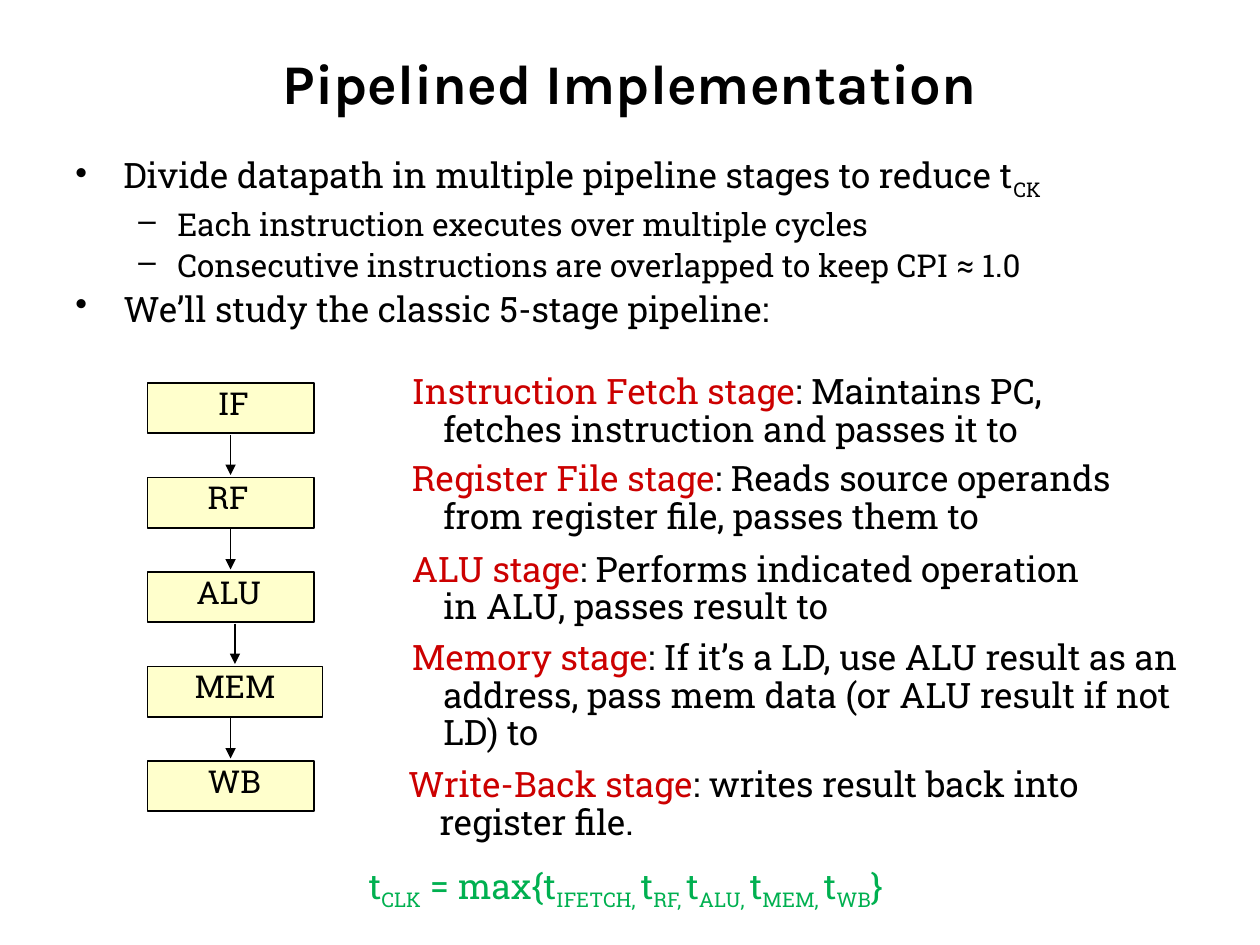
from dataclasses import dataclass

from lxml import etree
from pptx import Presentation
from pptx.dml.color import RGBColor
from pptx.enum.shapes import MSO_CONNECTOR, MSO_SHAPE
from pptx.enum.text import MSO_ANCHOR, MSO_AUTO_SIZE, PP_ALIGN
from pptx.oxml.ns import qn
from pptx.util import Inches, Pt

RECTANGLE = MSO_SHAPE.RECTANGLE
STRAIGHT = MSO_CONNECTOR.STRAIGHT
MIDDLE = MSO_ANCHOR.MIDDLE
GROW = MSO_AUTO_SIZE.SHAPE_TO_FIT_TEXT
LEFT, CENTER = PP_ALIGN.LEFT, PP_ALIGN.CENTER


@dataclass(frozen=True)
class Theme:
    heading_font: str = "Karla"
    body_font: str = "Roboto Slab"
    title_size: int = 32
    body_size: int = 20
    small_size: int = 18
    ink: str = "000000"
    accent: str = "CC0000"
    formula: str = "00B050"
    stage_fill: str = "FFFFCC"


theme = Theme()


def add_box(left, top, width, height, **frame_format):
    box = page.shapes.add_textbox(Inches(left), Inches(top), Inches(width), Inches(height))
    for name, value in {"word_wrap": True, **frame_format}.items():
        setattr(box.text_frame, name, value)
    return box.text_frame


def add_span(para, text, size=theme.body_size, color=theme.ink, subscript=False,
             font=theme.body_font, bold=False):
    span = para.add_run()
    span.text = text
    for name, value in {"name": font, "size": Pt(size), "bold": bold}.items():
        setattr(span.font, name, value)
    span.font.color.rgb = RGBColor.from_string(color)
    if subscript:
        span.font._element.set("baseline", "-25000")


deck = Presentation()
deck.slide_width, deck.slide_height = Inches(10), Inches(7.5)
page = deck.slides.add_slide(deck.slide_layouts[6])

# Title
title = add_box(0.5, 0.3, 9, 0.7, vertical_anchor=MIDDLE).paragraphs[0]
title.alignment = CENTER
add_span(title, "Pipelined Implementation", theme.title_size, font=theme.heading_font, bold=True)

# Bulleted outline: level, then text and subscript
outline = [
    (0, "Divide datapath in multiple pipeline stages to reduce t", "CK"),
    (1, "Each instruction executes over multiple cycles", ""),
    (1, "Consecutive instructions are overlapped to keep CPI ≈ 1.0", ""),
    (0, "We’ll study the classic 5-stage pipeline:", ""),
]
levels = [
    {"size": theme.body_size, "margin": 0.38, "hang": 0.38, "bullet": "•"},
    {"size": theme.small_size, "margin": 0.81, "hang": 0.31, "bullet": "–"},
]
body = add_box(0.5, 1.17, 9.08, 1.75)
for index, (level, text, subscript) in enumerate(outline):
    para = body.add_paragraph() if index else body.paragraphs[0]
    style = levels[level]
    para.level = level
    para.space_before = Pt(2 if index else 0)
    properties = para._p.get_or_add_pPr()
    properties.set("marL", str(Inches(style["margin"])))
    properties.set("indent", str(-Inches(style["hang"])))
    etree.SubElement(properties, qn("a:buChar"), char=style["bullet"])
    add_span(para, text, style["size"])
    if subscript:
        add_span(para, subscript, style["size"], subscript=True)

# Pipeline stages: box width; label text, left, width; description left, top, width, height
stages = [
    (1.32, ("IF", 1.63, 0.45), (3.17, 2.92, 5.83, 0.71),
     "Instruction Fetch stage", ": Maintains PC, fetches instruction and passes it to"),
    (1.32, ("RF", 1.55, 0.55), (3.17, 3.61, 6.42, 0.71),
     "Register File stage", ": Reads source operands from register file, passes them to"),
    (1.32, ("ALU", 1.46, 0.73), (3.17, 4.33, 5.83, 0.71),
     "ALU stage", ": Performs indicated operation in ALU, passes result to"),
    (1.39, ("MEM", 1.34, 1.05), (3.17, 5.03, 6.5, 1.01),
     "Memory stage",
     ": If it’s a LD, use ALU result as an address, pass mem data (or ALU result if not LD) to"),
    (1.32, ("WB", 1.55, 0.64), (3.14, 6.04, 5.69, 0.71),
     "Write-Back stage", ": writes result back into register file."),
]
stage_left, first_top, pitch, stage_height = 1.17, 3.04, 0.75, 0.4

for index, (width, label, place, name, description) in enumerate(stages):
    top = first_top + index * pitch
    stage = page.shapes.add_shape(
        RECTANGLE, Inches(stage_left), Inches(top), Inches(width), Inches(stage_height))
    stage.shadow.inherit = False
    stage.fill.solid()
    stage.fill.fore_color.rgb = RGBColor.from_string(theme.stage_fill)
    stage.line.color.rgb = RGBColor.from_string(theme.ink)
    stage.line.width = Pt(1)

    text, label_left, label_width = label
    centered = text == "MEM"
    para = add_box(label_left, top - 0.01, label_width, 0.38,
                   word_wrap=centered, auto_size=GROW).paragraphs[0]
    para.alignment = CENTER if centered else LEFT
    para.line_spacing = 0.9
    add_span(para, text, theme.small_size)

    if index:
        center = Inches(stage_left + width / 2)
        arrow = page.shapes.add_connector(
            STRAIGHT, center, Inches(top - 0.34), center, Inches(top - 0.02))
        arrow.line.color.rgb = RGBColor.from_string(theme.ink)
        arrow.line.width = Pt(1)
        etree.SubElement(arrow.line._get_or_add_ln(), qn("a:tailEnd"), type="triangle")
        etree.SubElement(arrow._element.spPr, qn("a:effectLst"))

    para = add_box(*place, auto_size=GROW).paragraphs[0]
    para.line_spacing = 0.9
    properties = para._p.get_or_add_pPr()
    properties.set("marL", str(Inches(0.25)))
    properties.set("indent", str(-Inches(0.25)))
    add_span(para, name, color=theme.accent)
    add_span(para, description)

# Clock period formula, alternating normal and subscript text
formula = ["t", "CLK", " = max{t", "IFETCH, ", "t", "RF, ", "t", "ALU, ", "t", "MEM, ",
           "t", "WB", "}"]
para = add_box(2.83, 6.81, 5.06, 0.44, word_wrap=False, auto_size=GROW).paragraphs[0]
for index, text in enumerate(formula):
    add_span(para, text, color=theme.formula, subscript=index % 2 == 1)

deck.save("out.pptx")
